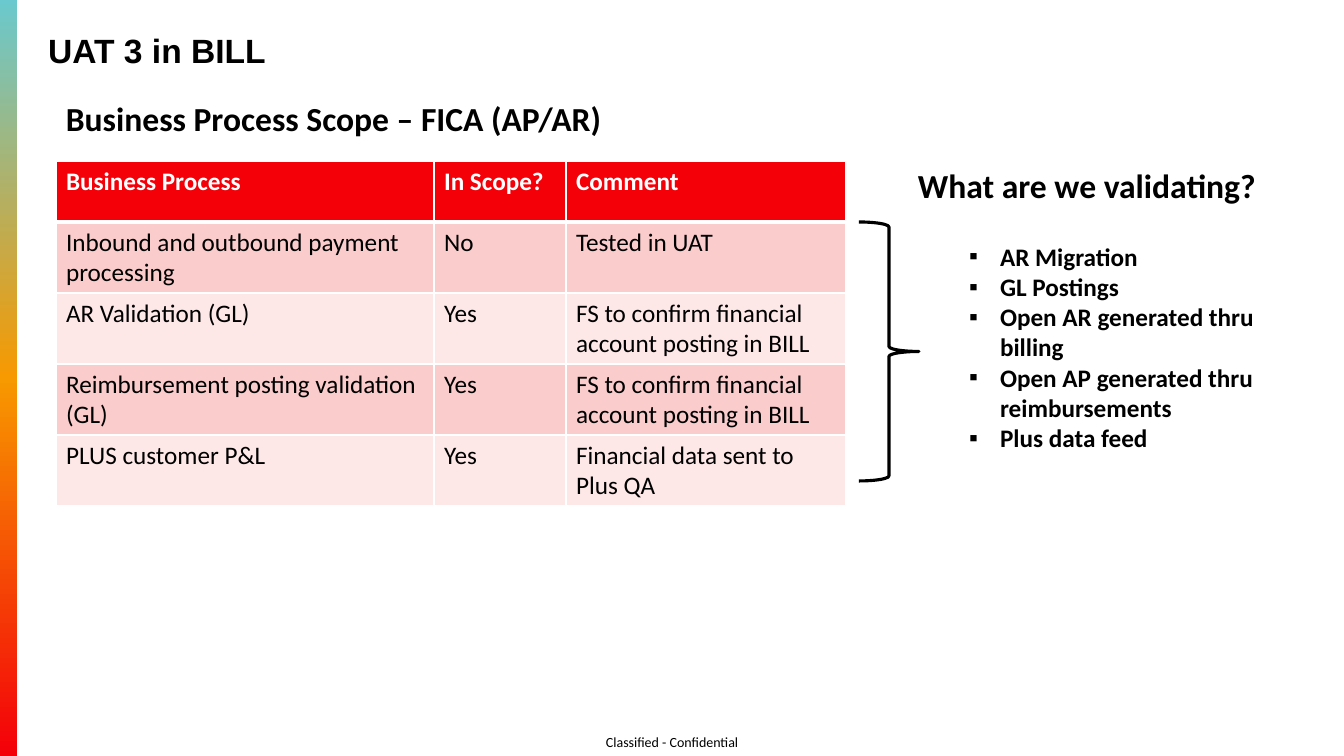
from copy import deepcopy
from dataclasses import dataclass

from lxml import etree
from pptx import Presentation
from pptx.dml.color import RGBColor
from pptx.enum.shapes import MSO_SHAPE
from pptx.enum.text import MSO_ANCHOR, MSO_AUTO_SIZE, PP_ALIGN
from pptx.oxml.ns import qn
from pptx.util import Emu, Pt

RECTANGLE = MSO_SHAPE.RECTANGLE
RIGHT_BRACE = MSO_SHAPE.RIGHT_BRACE
TOP, MIDDLE, BOTTOM = MSO_ANCHOR.TOP, MSO_ANCHOR.MIDDLE, MSO_ANCHOR.BOTTOM
LEFT, CENTER = PP_ALIGN.LEFT, PP_ALIGN.CENTER
NO_AUTOFIT = MSO_AUTO_SIZE.NONE
EMU_PER_PX = 914400 / 100.8


@dataclass(frozen=True)
class Theme:
    title_font: str = "Arial"
    body_font: str = "Calibri"
    heading_size: int = 24
    body_size: int = 18
    footer_size: int = 10
    ink: str = "000000"
    paper: str = "FFFFFF"
    header_fill: str = "F30009"
    band_fills: tuple = ("FACCCC", "FDE7E7")
    bar_stops: tuple = ((0, "6AC9CE"), (0.5, "F79900"), (1, "F40009"))


THEME = Theme()

SCOPE_HEADER = ("Business Process", "In Scope?", "Comment")
SCOPE_ROWS = (
    ("Inbound and outbound payment processing", "No", "Tested in UAT"),
    ("AR Validation (GL)", "Yes",
     "FS to confirm financial account posting in BILL"),
    ("Reimbursement posting validation (GL)", "Yes",
     "FS to confirm financial account posting in BILL"),
    ("PLUS customer P&L", "Yes", "Financial data sent to Plus QA"),
)
VALIDATIONS = (
    "AR Migration",
    "GL Postings",
    "Open AR generated thru billing",
    "Open AP generated thru reimbursements",
    "Plus data feed",
)


def px(length):
    return Emu(round(length * EMU_PER_PX))


def box(*lengths):
    return [px(length) for length in lengths]


def place(shape, left, top, width, height):
    shape.left, shape.top, shape.width, shape.height = box(left, top, width, height)


def add_run(paragraph, text, size, bold=False, color=THEME.ink, font=THEME.body_font):
    run = paragraph.add_run()
    run.text = text
    run.font.name = font
    run.font.size = Pt(size)
    run.font.bold = bold
    run.font.color.rgb = RGBColor.from_string(color)


def add_gradient_bar(slide, bounds):
    bar = slide.shapes.add_shape(RECTANGLE, *box(*bounds))
    bar.shadow.inherit = False
    bar.line.fill.background()
    bar.fill.gradient()
    bar.fill.gradient_angle = 270
    stop_list = bar.element.spPr.find(qn("a:gradFill")).find(qn("a:gsLst"))
    stop_list.append(deepcopy(stop_list[0]))
    for stop, (position, color) in zip(bar.fill.gradient_stops, THEME.bar_stops):
        stop.position = position
        stop.color.rgb = RGBColor.from_string(color)


def set_title(slide, text, bounds):
    title = slide.shapes.title
    place(title, *bounds)
    frame = title.text_frame
    frame.auto_size = NO_AUTOFIT
    frame.vertical_anchor = BOTTOM
    paragraph = frame.paragraphs[0]
    paragraph.alignment = LEFT
    paragraph.line_spacing = 0.9
    add_run(paragraph, text, THEME.heading_size, True, font=THEME.title_font)


def add_heading(slide, text, bounds):
    frame = slide.shapes.add_textbox(*box(*bounds)).text_frame
    frame.word_wrap = True
    add_run(frame.paragraphs[0], text, THEME.heading_size, True)


def add_footer(slide, text, bounds):
    frame = slide.shapes.add_textbox(*box(*bounds)).text_frame
    frame.word_wrap = True
    frame.vertical_anchor = MIDDLE
    frame.margin_left = frame.margin_right = 0
    frame.margin_top = frame.margin_bottom = 0
    frame.paragraphs[0].alignment = CENTER
    add_run(frame.paragraphs[0], text, THEME.footer_size)


def set_borders(cell, bottom_width):
    properties = cell._tc.get_or_add_tcPr()
    for side in ("lnL", "lnR", "lnT", "lnB"):
        width = bottom_width if side == "lnB" else 1
        border = etree.SubElement(properties, qn(f"a:{side}"), w=str(Pt(width)))
        solid = etree.SubElement(border, qn("a:solidFill"))
        etree.SubElement(solid, qn("a:srgbClr"), val=THEME.paper)


def add_scope_table(slide, left, top):
    column_widths = (378, 132, 280)
    row_heights = (61,) + (71,) * len(SCOPE_ROWS)
    table = slide.shapes.add_table(
        len(row_heights), len(column_widths),
        *box(left, top, sum(column_widths), sum(row_heights)),
    ).table
    for column, width in zip(table.columns, column_widths):
        column.width = px(width)
    for row, height in zip(table.rows, row_heights):
        row.height = px(height)
    for row_index, entries in enumerate((SCOPE_HEADER, *SCOPE_ROWS)):
        is_header = row_index == 0
        fill = THEME.header_fill if is_header else THEME.band_fills[(row_index - 1) % 2]
        for column_index, entry in enumerate(entries):
            cell = table.cell(row_index, column_index)
            set_borders(cell, 3 if is_header else 1)
            cell.fill.solid()
            cell.fill.fore_color.rgb = RGBColor.from_string(fill)
            add_run(cell.text_frame.paragraphs[0], entry, THEME.body_size,
                    is_header, THEME.paper if is_header else THEME.ink)


def set_bullets(slide, entries, bounds):
    body = slide.placeholders[1]
    place(body, *bounds)
    frame = body.text_frame
    frame.auto_size = NO_AUTOFIT
    frame.vertical_anchor = TOP
    for index, entry in enumerate(entries):
        paragraph = frame.add_paragraph() if index else frame.paragraphs[0]
        paragraph.level = 1
        paragraph.space_before = Pt(0)
        properties = paragraph._p.get_or_add_pPr()
        properties.set("marL", str(px(82)))
        properties.set("indent", str(px(-31)))
        etree.SubElement(properties, qn("a:buFont"), typeface=THEME.title_font)
        etree.SubElement(properties, qn("a:buChar"), char="▪")
        add_run(paragraph, entry, THEME.body_size, True)


def add_brace(slide, bounds):
    brace = slide.shapes.add_shape(RIGHT_BRACE, *box(*bounds))
    brace.shadow.inherit = False
    brace.fill.background()
    brace.line.color.rgb = RGBColor.from_string(THEME.ink)
    brace.line.width = Pt(2.25)


def main():
    deck = Presentation()
    deck.slide_width, deck.slide_height = box(1344, 756)
    slide = deck.slides.add_slide(deck.slide_layouts[1])
    add_gradient_bar(slide, (0, 0, 17, 756))
    add_footer(slide, "Classified - Confidential", (589, 727, 166, 29))
    set_title(slide, "UAT 3 in BILL", (38, 24, 1268, 52))
    add_heading(slide, "Business Process Scope – FICA (AP/AR)", (56, 93, 1208, 50))
    add_scope_table(slide, 56, 161)
    set_bullets(slide, VALIDATIONS, (908, 236, 415, 255))
    add_heading(slide, "What are we validating?", (908, 160, 379, 50))
    add_brace(slide, (859, 222, 60, 259))
    deck.save("out.pptx")


if __name__ == "__main__":
    main()
